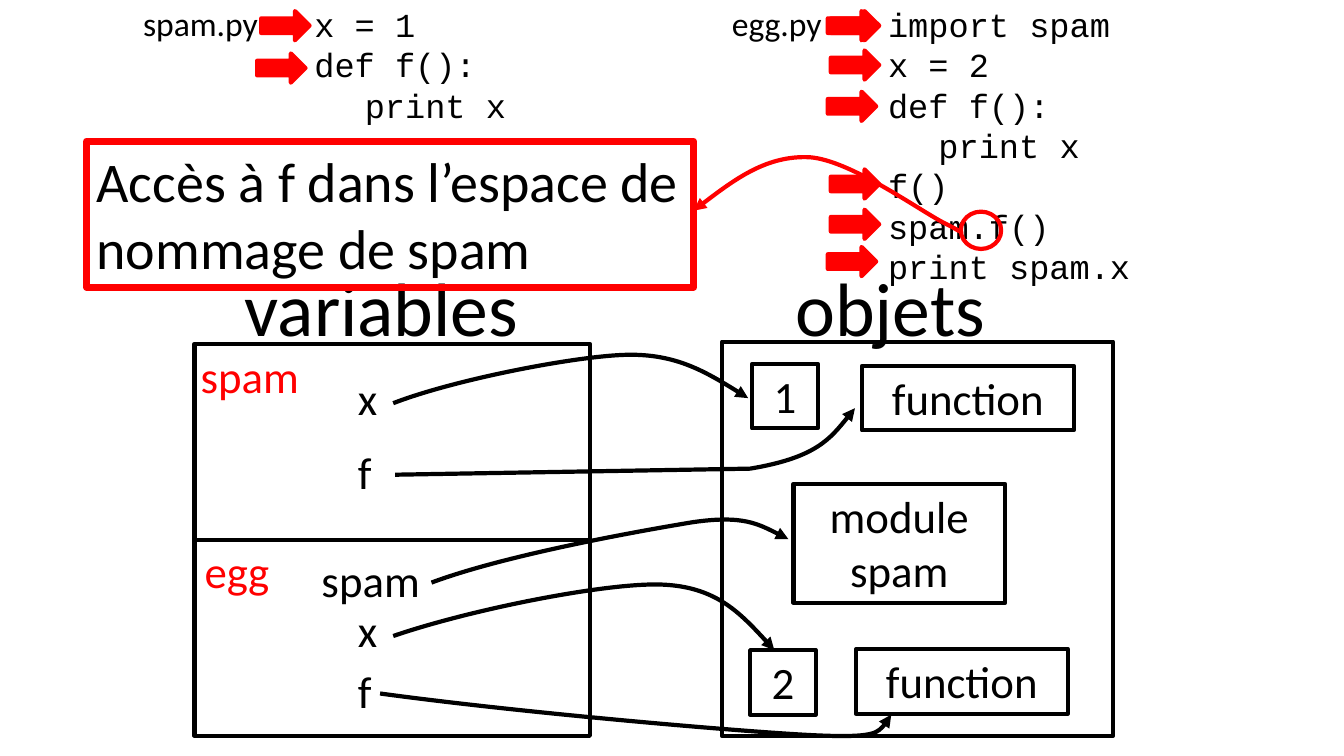
from pptx import Presentation
from pptx.dml.color import RGBColor
from pptx.enum.shapes import MSO_CONNECTOR, MSO_SHAPE
from pptx.enum.text import MSO_ANCHOR, MSO_AUTO_SIZE, PP_ALIGN
from pptx.oxml.ns import qn
from pptx.util import Inches, Pt
from lxml.etree import SubElement

BLACK, RED = "000000", "FF0000"
SANS, MONO = "Calibri", "Courier New"

SPAM_CODE = "x = 1\ndef f():\n\tprint x"
EGG_CODE = "import spam\nx = 2\ndef f():\n\tprint x\nf()\nspam.f()\nprint spam.x"

# text, (left, top, width, height), size, colour, font
TEXTS = [
    (SPAM_CODE, (3.02, -0.01, 3.04, 1.31), 24, BLACK, MONO),
    (EGG_CODE, (8.71, -0.01, 3.04, 2.93), 24, BLACK, MONO),
    ("spam.py", (1.32, -0.02, 1.41, 0.5), 24, BLACK, SANS),
    ("egg.py", (7.16, -0.02, 1.41, 0.5), 24, BLACK, SANS),
    ("variables", (2.33, 2.54, 3.78, 1.01), 54, BLACK, SANS),
    ("objets", (7.79, 2.54, 3.78, 1.01), 54, BLACK, SANS),
    ("spam", (1.89, 3.41, 2.11, 0.64), 32, RED, SANS),
    ("egg", (1.93, 5.34, 2.11, 0.64), 32, RED, SANS),
    ("x", (3.45, 3.63, 0.59, 0.64), 32, BLACK, SANS),
    ("f", (3.45, 4.36, 0.59, 0.64), 32, BLACK, SANS),
    ("spam", (3.09, 5.43, 1.19, 0.64), 32, BLACK, SANS),
    ("x", (3.45, 5.93, 0.59, 0.64), 32, BLACK, SANS),
    ("f", (3.45, 6.54, 0.59, 0.64), 32, BLACK, SANS),
]
VARIABLES_FRAME = (1.93, 3.41, 3.92, 3.89)
OBJECTS_FRAME = (7.16, 3.39, 3.88, 3.91)
OBJECTS = [
    ("1", (7.46, 3.61, 0.65, 0.64)),
    ("2", (7.44, 6.45, 0.65, 0.64)),
    ("function", (8.55, 3.63, 2.1, 0.64)),
    ("function", (8.49, 6.44, 2.1, 0.64)),
    ("module spam", (7.87, 4.8, 2.1, 1.18)),
]
# start point, then three points for each Bézier segment
REFERENCES = [
    [(4.28, 5.78), (5.03, 5.5), (6.39, 5.26), (6.88, 5.18),
     (7.37, 5.11), (7.59, 5.23), (7.82, 5.35)],
    [(3.9, 6.31), (4.69, 6.04), (6.02, 5.78), (6.56, 5.8),
     (7.1, 5.82), (7.39, 6.13), (7.68, 6.45)],
    [(3.77, 6.88), (5.16, 7.07), (7.26, 7.25), (7.99, 7.29),
     (8.72, 7.33), (8.78, 7.21), (8.84, 7.09)],
    [(3.9, 4), (4.52, 3.76), (5.73, 3.53), (6.22, 3.52),
     (6.71, 3.51), (7.07, 3.73), (7.42, 3.95)],
    [(3.92, 4.71), (5.09, 4.69), (6.27, 4.67), (7.44, 4.65),
     (8.1, 4.54), (8.29, 4.29), (8.48, 4.05)],
]
STEP_ARROWS = [
    (8.24, 0.11), (2.59, 0.11), (2.55, 0.53), (8.24, 0.5), (8.21, 0.91),
    (8.24, 1.68), (8.24, 2.08), (8.21, 2.45), (8.21, 0.11),
]
CALLOUT = "Accès à f dans l’espace de nommage de spam"
CALLOUT_BOX = (0.86, 1.4, 6.02, 1.45)
DOT_CIRCLE = (9.53, 2.1, 0.4, 0.37)
CALLOUT_CURVE = [
    (9.44, 2.25), (9.52, 2.3), (9.63, 2.35), (9.4, 2.23), (9.16, 2.12),
    (8.45, 1.59), (8.03, 1.56), (7.61, 1.54), (7.24, 1.81), (6.88, 2.09),
]


def color(hex_value):
    return RGBColor.from_string(hex_value)


def write(shape, text, size, text_color=BLACK, font=SANS, align=PP_ALIGN.LEFT):
    frame = shape.text_frame
    frame.text = text
    frame.word_wrap = True
    frame.auto_size = MSO_AUTO_SIZE.SHAPE_TO_FIT_TEXT
    frame.vertical_anchor = MSO_ANCHOR.TOP
    for paragraph in frame.paragraphs:
        paragraph.alignment = align
        if font == MONO:
            paragraph.line_spacing = Pt(size * 1.2)
        for run in paragraph.runs:
            run.font.size = Pt(size)
            run.font.name = font
            run.font.color.rgb = color(text_color)


def style(shape, line_color, width=3, fill=None):
    shape.shadow.inherit = False
    shape.line.color.rgb = color(line_color)
    shape.line.width = Pt(width)
    if fill:
        shape.fill.solid()
        shape.fill.fore_color.rgb = color(fill)
    else:
        shape.fill.background()


def add_outline(kind, box, line_color, width=3, fill=None):
    shape = slide.shapes.add_shape(kind, *map(Inches, box))
    style(shape, line_color, width, fill)
    return shape


def add_curve(points, line_color):
    """Draw an arrow through Bézier segments of three points each."""
    builder = slide.shapes.build_freeform(*points[0], scale=Inches(1) / 1.0)
    builder = slide.shapes.build_freeform(
        *(Inches(value) for value in points[0]), scale=1.0)
    builder.add_line_segments(
        [(Inches(x), Inches(y)) for x, y in points[1:]], close=False)
    shape = builder.convert_to_shape()
    style(shape, line_color)
    path = next(shape.element.iter(qn("a:path")))
    lines = path.findall(qn("a:lnTo"))
    for first in range(0, len(lines), 3):
        segment = SubElement(path, qn("a:cubicBezTo"))
        for line in lines[first:first + 3]:
            segment.append(line[0])
            path.remove(line)
    outline = shape.line._get_or_add_ln()
    SubElement(outline, qn("a:tailEnd"), type="triangle")


presentation = Presentation()
presentation.slide_width = Inches(13.33)
presentation.slide_height = Inches(7.5)
slide = presentation.slides.add_slide(presentation.slide_layouts[6])

add_outline(MSO_SHAPE.RECTANGLE, OBJECTS_FRAME, BLACK)
variables_frame = add_outline(MSO_SHAPE.RECTANGLE, VARIABLES_FRAME, BLACK)

left, top, width, height = VARIABLES_FRAME
middle = top + height / 2
divider = slide.shapes.add_connector(
    MSO_CONNECTOR.STRAIGHT,
    *map(Inches, (left, middle, left + width, middle)))
divider.begin_connect(variables_frame, 1)
divider.end_connect(variables_frame, 3)
divider.line.color.rgb = color(BLACK)
divider.line.width = Pt(3)
SubElement(divider.element.spPr, qn("a:effectLst"))

for text, box, size, text_color, font in TEXTS:
    text_box = slide.shapes.add_textbox(*map(Inches, box))
    write(text_box, text, size, text_color, font)

for text, box in OBJECTS:
    object_box = add_outline(MSO_SHAPE.RECTANGLE, box, BLACK)
    write(object_box, text, 32, align=PP_ALIGN.CENTER)

for points in REFERENCES:
    add_curve(points, BLACK)

for left, top in STEP_ARROWS:
    add_outline(MSO_SHAPE.RIGHT_ARROW, (left, top, 0.48, 0.29), RED, fill=RED)

add_outline(MSO_SHAPE.OVAL, DOT_CIRCLE, RED)
callout_box = add_outline(MSO_SHAPE.RECTANGLE, CALLOUT_BOX, RED, width=5)
write(callout_box, CALLOUT, 40)
add_curve(CALLOUT_CURVE, RED)

presentation.save("out.pptx")
